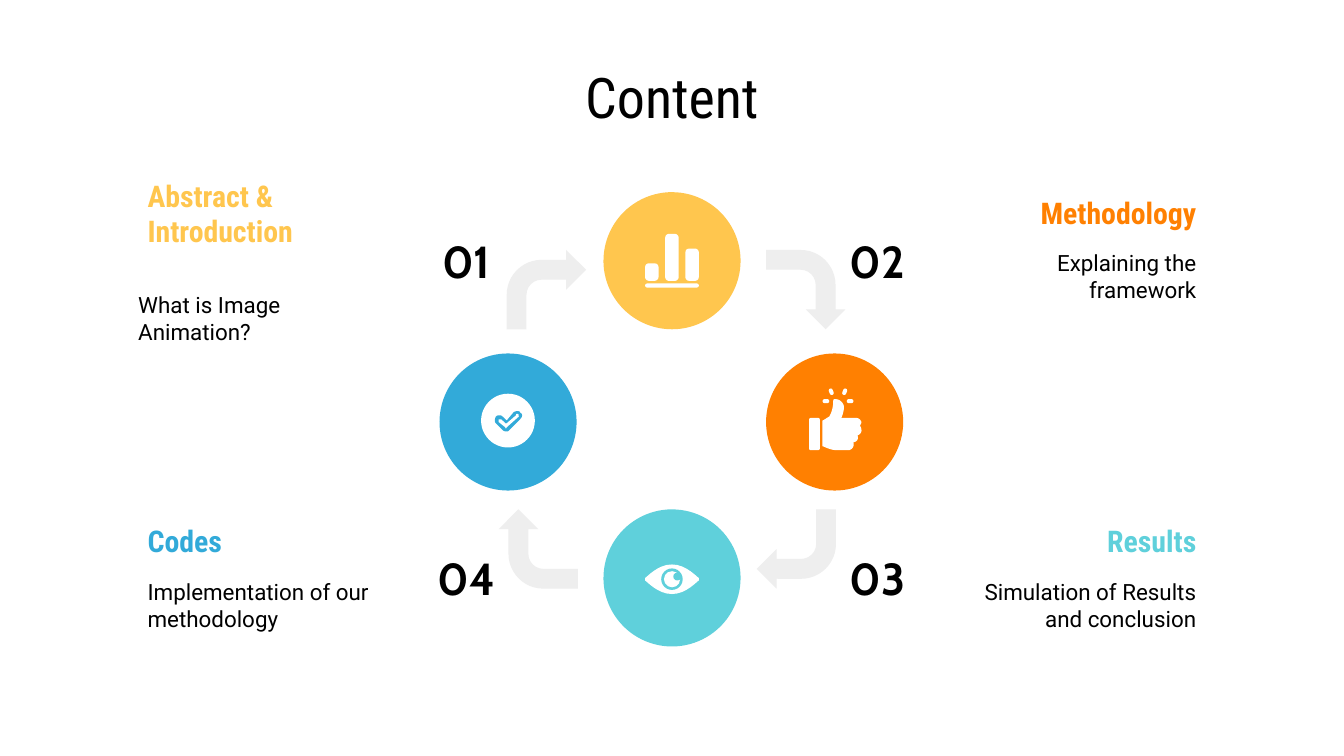
from pptx import Presentation
from pptx.dml.color import RGBColor
from pptx.enum.shapes import MSO_SHAPE as Shape
from pptx.enum.text import MSO_ANCHOR as Anchor, PP_ALIGN as Align
from pptx.util import Inches, Pt

COLORS = {
    "yellow": "FFC64E", "orange": "FF8001", "teal": "5FD0DB", "blue": "32AAD9",
    "grey": "EEEEEE", "white": "FFFFFF", "black": "000000",
}
HEADING = "Roboto Condensed"
BODY = "Roboto"
NUMBER = "Cabin"
DISC = 1.02
ARROW = 0.59
THUMB = [
    (6.21, 2.97), (6.2, 2.97, 6.2, 2.98, 6.2, 2.99), (6.2, 3.02, 6.19, 3.07, 6.17, 3.1),
    (6.15, 3.11, 6.14, 3.12, 6.12, 3.13), (6.12, 3.32), (6.15, 3.33, 6.18, 3.35, 6.23, 3.35),
    (6.31, 3.35), (6.34, 3.35, 6.36, 3.32, 6.35, 3.29), (6.38, 3.29, 6.39, 3.26, 6.38, 3.24),
    (6.41, 3.23, 6.42, 3.2, 6.4, 3.17), (6.4, 3.16, 6.41, 3.15, 6.41, 3.14),
    (6.4, 3.12, 6.39, 3.11, 6.37, 3.11), (6.26, 3.11), (6.27, 3.09, 6.28, 3.05, 6.28, 3.03),
    (6.28, 3, 6.25, 2.97, 6.22, 2.97),
]
EYE = [
    (5, 4.2), (4.89, 4.2, 4.81, 4.3, 4.8, 4.3), (4.8, 4.31, 4.8, 4.31, 4.8, 4.32),
    (4.81, 4.32, 4.89, 4.42, 5, 4.42), (5.11, 4.42, 5.19, 4.32, 5.2, 4.32),
    (5.2, 4.31, 5.2, 4.31, 5.2, 4.3), (5.19, 4.3, 5.11, 4.2, 5, 4.2),
]
CHECK_EDGE = [
    (3.85, 3.06), (3.86, 3.06, 3.87, 3.06, 3.87, 3.07), (3.89, 3.08, 3.89, 3.1, 3.87, 3.12),
    (3.79, 3.2), (3.78, 3.21, 3.78, 3.21, 3.77, 3.21), (3.76, 3.21, 3.75, 3.21, 3.74, 3.2),
    (3.69, 3.15), (3.68, 3.14, 3.68, 3.12, 3.69, 3.1), (3.7, 3.09, 3.71, 3.09, 3.72, 3.09),
    (3.73, 3.09, 3.74, 3.1, 3.74, 3.1), (3.77, 3.13), (3.82, 3.07),
    (3.83, 3.06, 3.84, 3.06, 3.85, 3.06),
]
CHECK_CORE = [
    (3.85, 3.08), (3.84, 3.08, 3.84, 3.08, 3.84, 3.09), (3.77, 3.15),
    (3.77, 3.15, 3.76, 3.15, 3.76, 3.15), (3.73, 3.12), (3.72, 3.12, 3.71, 3.12, 3.71, 3.12),
    (3.71, 3.12, 3.71, 3.13, 3.71, 3.14), (3.76, 3.18), (3.76, 3.19, 3.77, 3.19, 3.77, 3.18),
    (3.86, 3.1), (3.86, 3.09, 3.86, 3.08, 3.85, 3.08),
]


def paint(shape, color):
    """Give a shape a flat fill with no line or shadow."""
    shape.shadow.inherit = False
    shape.fill.solid()
    shape.fill.fore_color.rgb = RGBColor.from_string(COLORS[color])
    shape.line.fill.background()


def add_text(page, text, place, size, font, color="black", align=Align.LEFT, bold=False, inset=0.1):
    """Add a vertically centred, wrapping text box."""
    frame = page.shapes.add_textbox(*map(Inches, place)).text_frame
    frame.word_wrap = True
    frame.vertical_anchor = Anchor.MIDDLE
    frame.margin_left = frame.margin_right = Inches(inset)
    frame.margin_top = frame.margin_bottom = Inches(inset)
    frame.text = text
    para = frame.paragraphs[0]
    para.alignment = align
    span = para.runs[0].font
    span.size, span.name, span.bold = Pt(size), font, bold
    span.color.rgb = RGBColor.from_string(COLORS[color])


def add_preset(page, kind, place, color, rotation=0, adjustments=()):
    """Add a flat preset shape."""
    shape = page.shapes.add_shape(kind, *map(Inches, place))
    for index, value in enumerate(adjustments):
        shape.adjustments[index] = value
    shape.rotation = rotation
    paint(shape, color)


def add_pill(page, place, color, rotation=0, roundness=0.5):
    """Add a rounded rectangle, fully rounded by default."""
    add_preset(page, Shape.ROUNDED_RECTANGLE, place, color, rotation, [roundness])


def add_circle(page, x, y, radius, color):
    """Add a circle around a centre."""
    add_preset(page, Shape.OVAL, (x - radius, y - radius, 2 * radius, 2 * radius), color)


def trace(segments, steps=8):
    """Turn line ends and cubic curves into a list of points."""
    points = [segments[0]]
    for segment in segments[1:]:
        if len(segment) == 2:
            points.append(segment)
            continue
        x0, y0 = points[-1]
        x1, y1, x2, y2, x3, y3 = segment
        for step in range(1, steps + 1):
            t = step / steps
            a, b, c, d = (1 - t) ** 3, 3 * t * (1 - t) ** 2, 3 * t * t * (1 - t), t ** 3
            points.append((a * x0 + b * x1 + c * x2 + d * x3, a * y0 + b * y1 + c * y2 + d * y3))
    return points


def add_outline(page, segments, color):
    """Add a closed outline made of lines and curves."""
    points = [(Inches(x), Inches(y)) for x, y in trace(segments)]
    builder = page.shapes.build_freeform(*points[0])
    builder.add_line_segments(points[1:], close=True)
    paint(builder.convert_to_shape(), color)


def add_chart_icon(page):
    """Draw three bars on a base line."""
    for index, height in enumerate((0.13, 0.35, 0.24)):
        add_pill(page, (4.8 + 0.15 * index, 2.09 - height, 0.1, height), "white", roundness=0.27)
    add_pill(page, (4.8, 2.11, 0.4, 0.03), "white")


def add_thumb_icon(page):
    """Draw a raised thumb with four sparks."""
    for left, top, rotation in ((6.12, 2.97, 0), (6.16, 2.9, 68), (6.26, 2.9, 112), (6.3, 2.97, 0)):
        add_pill(page, (left, top, 0.05, 0.03), "white", rotation)
    add_pill(page, (6.02, 3.11, 0.08, 0.24), "white", roundness=0.15)
    add_outline(page, THUMB, "white")


def add_eye_icon(page):
    """Draw an eye with a ringed pupil and a glint."""
    add_outline(page, EYE, "white")
    for x, y, radius, color in ((5, 4.31, 0.08, "teal"), (5, 4.31, 0.06, "white"), (5.04, 4.29, 0.03, "teal")):
        add_circle(page, x, y, radius, color)


def add_check_icon(page):
    """Draw an outlined check mark on a white disc."""
    add_circle(page, 3.78, 3.13, 0.2, "white")
    add_outline(page, CHECK_EDGE, "blue")
    add_outline(page, CHECK_CORE, "white")


def main():
    """Build the content slide."""
    deck = Presentation()
    deck.slide_width = Inches(10)
    deck.slide_height = deck.slide_width * 9 // 16
    page = deck.slides.add_slide(deck.slide_layouts[6])
    add_text(page, "Content", (0.5, 0.45, 9, 0.53), 30, HEADING, align=Align.CENTER)

    for left, top, color in ((4.49, 3.79, "teal"), (3.27, 2.63, "blue"), (5.7, 2.63, "orange"), (4.49, 1.43, "yellow")):
        add_pill(page, (left, top, DISC, DISC), color)
    for left, top, rotation in ((3.77, 1.86, 0), (5.7, 1.86, 90), (5.63, 3.79, 180), (3.71, 3.79, 270)):
        add_preset(page, Shape.BENT_ARROW, (left, top, ARROW, ARROW), "grey", rotation, (0.25, 0.25, 0.25, 0.44))

    topics = (
        ("Abstract & Introduction", "yellow", 1, 1.43, "What is Image Animation?", 0.93, 2.05, Align.LEFT),
        ("Methodology", "orange", 6.84, 1.43, "Explaining the framework", 7.15, 1.74, Align.RIGHT),
        ("Results", "teal", 6.84, 3.87, "Simulation of Results and conclusion", 7.15, 4.19, Align.RIGHT),
        ("Codes", "blue", 1, 3.87, "Implementation of our methodology", 1, 4.19, Align.LEFT),
    )
    for heading, color, left, top, detail, detail_left, detail_top, align in topics:
        add_text(page, heading, (left, top, 2.16, 0.31), 16, HEADING, color, align, bold=True)
        add_text(page, detail, (detail_left, detail_top, 1.85, 0.63), 12, BODY, align=align)

    for number, left, top in (("01", 3.16, 1.74), ("02", 6.22, 1.74), ("03", 6.22, 4.1), ("04", 3.16, 4.1)):
        add_text(page, number, (left, top, 0.62, 0.4), 24, NUMBER, align=Align.CENTER, bold=True, inset=0)

    for add_icon in (add_chart_icon, add_thumb_icon, add_eye_icon, add_check_icon):
        add_icon(page)
    deck.save("out.pptx")


if __name__ == "__main__":
    main()
